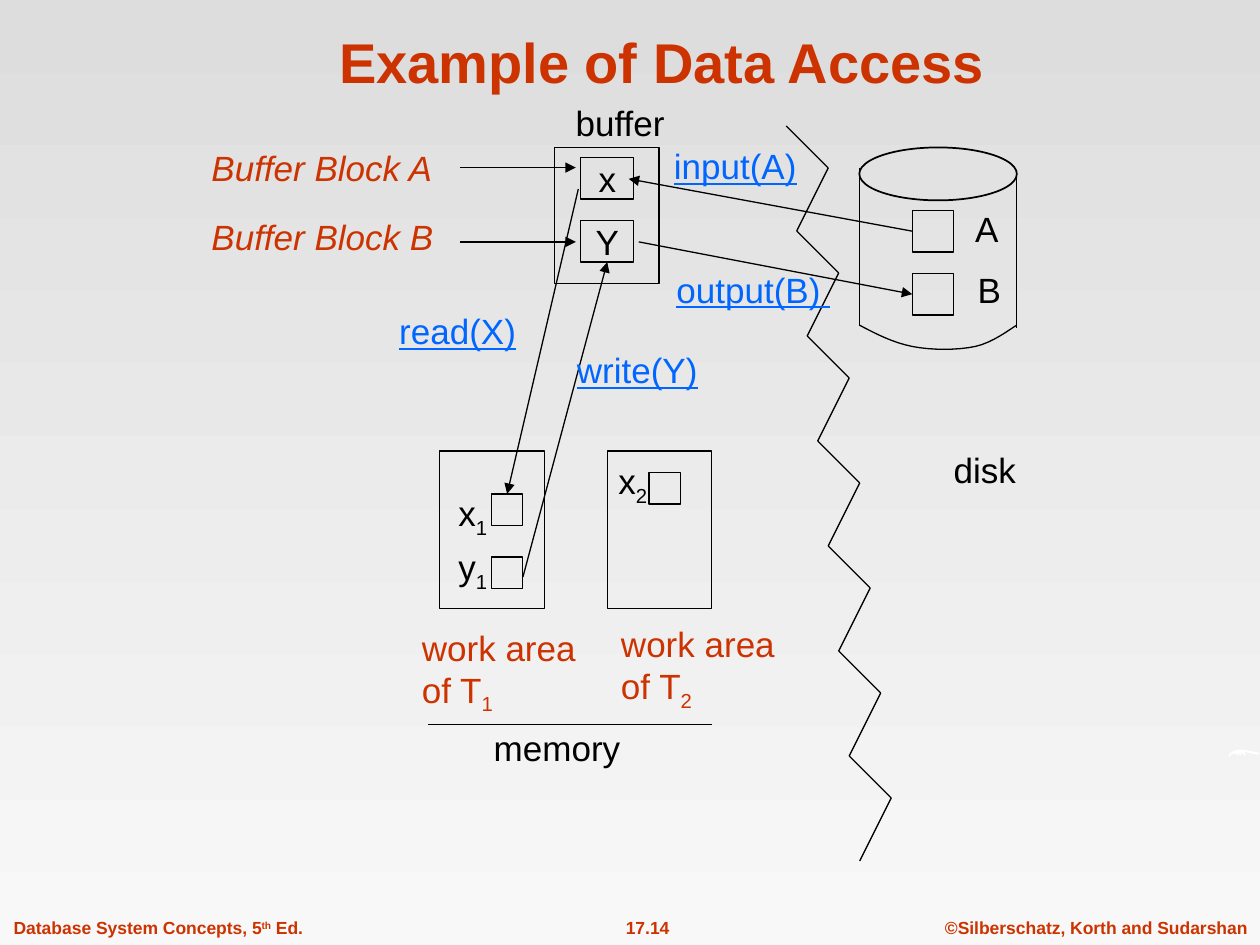
import pptx
import pptx.util
import pptx.dml.color
import pptx.enum.shapes
import pptx.enum.text
import pptx.oxml

Inches, Pt = pptx.util.Inches, pptx.util.Pt
RGBColor = pptx.dml.color.RGBColor
MSO_SHAPE = pptx.enum.shapes.MSO_SHAPE
PP_ALIGN = pptx.enum.text.PP_ALIGN
MSO_ANCHOR = pptx.enum.text.MSO_ANCHOR
MSO_AUTO_SIZE = pptx.enum.text.MSO_AUTO_SIZE

BLACK = RGBColor(0x00, 0x00, 0x00)
WHITE = RGBColor(0xFF, 0xFF, 0xFF)
RUST = RGBColor(0xCC, 0x33, 0x00)
BLUE = RGBColor(0x00, 0x66, 0xFF)
SKY_TOP = RGBColor(0xDD, 0xDD, 0xDD)
SKY_BOTTOM = RGBColor(0xF8, 0xF8, 0xF8)

SUB, SUPER = -25000, 30000
BOX_LEFT, MEMORY_LEFT, CELL = 4.61, 3.9, 0.25
DISK_LEFT, DISK_RIGHT, BLOCK = 6.82, 8.07, 0.33

# Content: a paragraph is a list of (text, baseline) runs
RUST_STYLE = dict(color=RUST)
BLOCK_STYLE = dict(color=RUST, italic=True)
OPERATION_STYLE = dict(color=BLUE, underline=True)
FOOTER_STYLE = dict(color=RUST, bold=True, size=10)
CENTRED_FOOTER = dict(FOOTER_STYLE, align=PP_ALIGN.CENTER)


def work_area(number):
    return [[("work area", 0)], [("of T", 0), (number, SUB)]]


def variable(name, number):
    return [[(name, 0), (number, SUB)]]


LABELS = [  # text, (left, top, width, height), format
    ("©Silberschatz, Korth and Sudarshan", (7.4, 7.23, 2.6, 0.27), CENTRED_FOOTER),
    ("17.14", (4.61, 7.23, 1.06, 0.27), CENTRED_FOOTER),
    ([[("Database System Concepts, 5", 0), ("th", SUPER), (" Ed.", 0)]],
     (0.01, 7.23, 2.49, 0.27), FOOTER_STYLE),
    ("A", (7.64, 1.6, 0.38, 0.44), {}),
    ("B", (7.66, 2.08, 0.38, 0.44), {}),
    (variable("x", "1"), (3.54, 3.85, 0.43, 0.48), {}),
    (variable("y", "1"), (3.54, 4.28, 0.47, 0.48), {}),
    (variable("x", "2"), (4.81, 3.6, 0.43, 0.48), {}),
    ("buffer", (4.47, 0.76, 0.91, 0.44), {}),
    ("Buffer Block A", (1.58, 1.11, 2.04, 0.44), BLOCK_STYLE),
    ("Buffer Block B", (1.58, 1.66, 1.96, 0.44), BLOCK_STYLE),
    ("input(A)", (5.25, 1.1, 1.17, 0.44), OPERATION_STYLE),
    ("output(B) ", (5.27, 2.08, 1.42, 0.44), OPERATION_STYLE),
    ("read(X)", (3.07, 2.41, 1.13, 0.44), OPERATION_STYLE),
    ("write(Y)", (4.48, 2.72, 1.16, 0.44), OPERATION_STYLE),
    ("disk", (7.47, 3.51, 0.69, 0.44), {}),
    (work_area("1"), (3.25, 4.92, 1.5, 0.82), dict(RUST_STYLE, wrap=True)),
    (work_area("2"), (4.83, 4.89, 1.42, 0.82), RUST_STYLE),
    ("memory", (3.82, 5.72, 1.2, 0.44), {}),
]

RECTANGLES = {  # name: (left, top, width, height)
    "buffer": (4.4, 1.17, 0.83, 1.08),
    "x": (BOX_LEFT, 1.25, 0.42, 0.33),
    "Y": (BOX_LEFT, 1.75, 0.42, 0.33),
    "A": (7.24, 1.67, BLOCK, BLOCK),
    "B": (7.24, 2.17, BLOCK, BLOCK),
    "area 1": (3.49, 3.58, 0.83, 1.25),
    "area 2": (4.82, 3.58, 0.83, 1.25),
    "x2": (5.15, 3.75, CELL, CELL),
    "x1": (MEMORY_LEFT, 3.92, CELL, CELL),
    "y1": (MEMORY_LEFT, 4.42, CELL, CELL),
}

ARROWS = [  # from, to, joined start, joined end (rectangle, side)
    ((3.65, 1.33), (4.57, 1.33), None, None),
    ((3.65, 1.92), (4.57, 1.92), None, None),
    ((7.24, 1.83), (4.99, 1.42), ("A", 1), None),
    ((5.07, 1.92), (7.24, 2.33), None, ("B", 1)),
    ((4.59, 1.5), (4.01, 3.92), None, ("x1", 0)),
    ((4.15, 4.58), (4.82, 2.08), None, ("Y", 2)),
]

DISK_BASE = [  # cubic curves
    ((6.82, 2.58), (6.95, 2.65), (7.09, 2.72), (7.24, 2.75)),
    ((7.24, 2.75), (7.39, 2.78), (7.6, 2.78), (7.74, 2.75)),
    ((7.74, 2.75), (7.88, 2.72), (8.02, 2.61), (8.07, 2.58)),
]

SWOOSH = [
    (9.75, 6.01), (9.76, 5.98), (9.79, 5.96), (9.83, 5.95), (9.87, 5.95),
    (9.92, 5.96), (9.97, 5.97), (10, 5.98), (9.98, 5.99), (9.93, 5.98),
    (9.88, 5.97), (9.88, 6), (9.85, 5.97), (9.85, 6), (9.82, 5.97),
    (9.83, 6), (9.8, 5.98), (9.77, 5.99), (9.76, 6.01),
]

deck = pptx.Presentation()
deck.slide_width, deck.slide_height = Inches(10), Inches(7.5)
slide = deck.slides.add_slide(deck.slide_layouts[6])
shapes = slide.shapes


def write(frame, text, size=20, color=BLACK, bold=False, italic=False,
          underline=False, align=PP_ALIGN.LEFT, anchor=MSO_ANCHOR.TOP,
          wrap=False, grow=True):
    frame.word_wrap = wrap
    frame.auto_size = MSO_AUTO_SIZE.SHAPE_TO_FIT_TEXT if grow else MSO_AUTO_SIZE.NONE
    frame.vertical_anchor = anchor
    if align == PP_ALIGN.LEFT:
        frame.margin_right = 0  # spare room keeps tight labels on one line
    paragraphs = [[(text, 0)]] if isinstance(text, str) else text
    for index, runs in enumerate(paragraphs):
        paragraph = frame.add_paragraph() if index else frame.paragraphs[0]
        paragraph.alignment = align
        for words, baseline in runs:
            run = paragraph.add_run()
            run.text = words
            font = run.font
            font.name, font.size = "Arial", Pt(size)
            font.bold, font.italic, font.underline = bold, italic, underline
            font.color.rgb = color
            if baseline:
                run._r.get_or_add_rPr().set("baseline", str(baseline))


def outline(shape, width=0.75):
    shape.shadow.inherit = False
    shape.fill.background()
    shape.line.color.rgb = BLACK
    shape.line.width = Pt(width)
    return shape


def add_outlined(kind, box, width=0.75):
    return outline(shapes.add_shape(kind, *map(Inches, box)), width)


def add_line(start, end, arrow=False):
    line = shapes.add_connector(pptx.enum.shapes.MSO_CONNECTOR.STRAIGHT,
                                *map(Inches, start + end))
    line.line.color.rgb = BLACK
    line.line.width = Pt(0.75)
    if arrow:
        head = pptx.oxml.ns.qn("a:tailEnd")
        line.line._get_or_add_ln().append(
            line._element.makeelement(head, {"type": "triangle"}))
    effects = pptx.oxml.ns.qn("a:effectLst")
    line._element.spPr.append(line._element.makeelement(effects, {}))
    return line


def add_path(points, close):
    corners = [(Inches(x), Inches(y)) for x, y in points]
    builder = shapes.build_freeform(*corners[0])
    builder.add_line_segments(corners[1:], close=close)
    return builder.convert_to_shape()


def curve_point(curve, t):
    weights = ((1 - t) ** 3, 3 * t * (1 - t) ** 2, 3 * t * t * (1 - t), t ** 3)
    return tuple(sum(w * p[axis] for w, p in zip(weights, curve)) for axis in (0, 1))


# Background and corner swoosh
sky = slide.background.fill
sky.gradient()
sky.gradient_angle = 270
for stop, shade in zip(sky.gradient_stops, (SKY_TOP, SKY_BOTTOM)):
    stop.color.rgb = shade
swoosh = add_path(SWOOSH, close=True)
swoosh.shadow.inherit = False
swoosh.fill.solid()
swoosh.fill.fore_color.rgb = WHITE
swoosh.line.fill.background()

# Title
title = shapes.add_textbox(*map(Inches, (0.84, 0.13, 8.83, 0.67)))
write(title.text_frame, "Example of Data Access", size=32, color=RUST, bold=True,
      align=PP_ALIGN.CENTER, anchor=MSO_ANCHOR.BOTTOM, wrap=True, grow=False)

# Buffer, work areas and disk blocks
rectangles = {name: add_outlined(MSO_SHAPE.RECTANGLE, box)
              for name, box in RECTANGLES.items()}
for name in ("x", "Y"):
    write(rectangles[name].text_frame, name, align=PP_ALIGN.CENTER,
          anchor=MSO_ANCHOR.MIDDLE, grow=False)

# Disk cylinder
add_outlined(MSO_SHAPE.OVAL, (DISK_LEFT, 1.17, DISK_RIGHT - DISK_LEFT, 0.42), 1)
add_line((DISK_LEFT, 1.33), (DISK_LEFT, 2.58))
add_line((DISK_RIGHT, 1.35), (DISK_RIGHT, 2.6))
outline(add_path([curve_point(curve, step / 8) for curve in DISK_BASE
                  for step in range(9)], close=False))

# Jagged border between memory and disk
border = []
for tooth in range(7):
    left, top = 6.24 + tooth / 12, 1 + tooth * 5 / 6
    border += [(left, top), (left + 1 / 3, top + 1 / 3)]
border.append((6.24 + 7 / 12, 1 + 35 / 6))
for start, end in zip(border, border[1:]):
    add_line(start, end)

# Memory rule, arrows and labels
add_line((3.4, 5.75), (5.65, 5.75))
for start, end, source, target in ARROWS:
    arrow = add_line(start, end, arrow=True)
    if source:
        arrow.begin_connect(rectangles[source[0]], source[1])
    if target:
        arrow.end_connect(rectangles[target[0]], target[1])
for text, box, style in LABELS:
    write(shapes.add_textbox(*map(Inches, box)).text_frame, text, **style)

deck.save("out.pptx")
